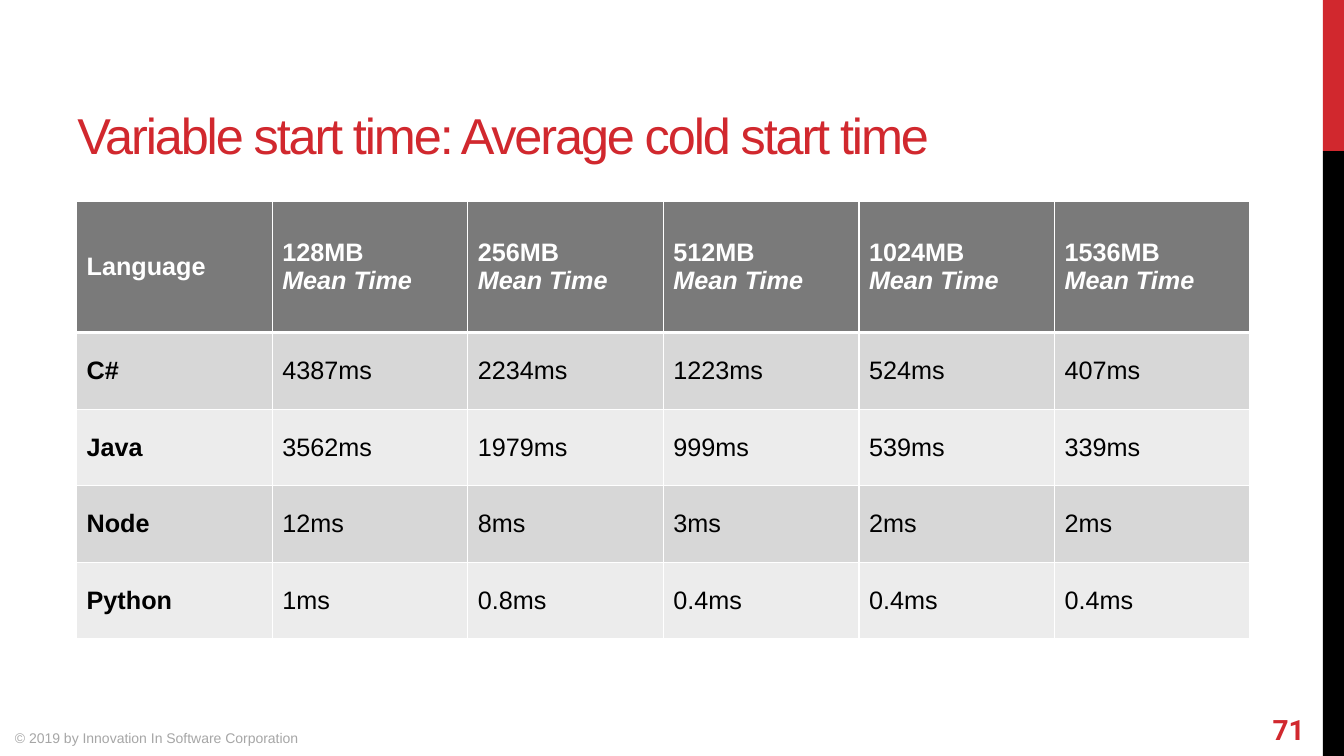
from dataclasses import dataclass

import lxml.etree
import pptx
import pptx.dml.color
import pptx.enum.shapes
import pptx.enum.text
import pptx.oxml.ns
import pptx.slide
import pptx.table
import pptx.text.text
import pptx.util

EMU_PER_PX = 9144
COLORS = {
    "accent": "D1282E",
    "black": "000000",
    "white": "FFFFFF",
    "footer": "A6A6A6",
    "header": "7A7A7A",
    "odd_row": "D7D7D7",
    "even_row": "ECECEC",
}
ALIGN = pptx.enum.text.PP_ALIGN
ANCHOR = pptx.enum.text.MSO_ANCHOR


@dataclass(frozen=True)
class Box:
    left: int
    top: int
    width: int
    height: int

    def emu(self) -> tuple[int, int, int, int]:
        return px(self.left), px(self.top), px(self.width), px(self.height)


@dataclass(frozen=True)
class Style:
    size: int
    color: str
    font: str = "Arial"
    bold: bool = False
    italic: bool = False
    spacing: int = 0


@dataclass(frozen=True)
class Bar:
    box: Box
    color: str


@dataclass(frozen=True)
class Label:
    box: Box
    text: str
    style: Style
    anchor: ANCHOR = ANCHOR.TOP
    align: ALIGN = ALIGN.LEFT


BARS = [
    Bar(Box(1312, 0, 21, 150), "accent"),
    Bar(Box(1312, 150, 21, 600), "black"),
]
LABELS = [
    Label(
        Box(67, 93, 1185, 75),
        "Variable start time: Average cold start time",
        Style(36, "accent", spacing=-150),
        ANCHOR.BOTTOM,
    ),
    Label(
        Box(1160, 697, 144, 53),
        "71",
        Style(20, "accent", "Roboto", bold=True),
        ANCHOR.MIDDLE,
        ALIGN.RIGHT,
    ),
    Label(
        Box(5, 719, 500, 31),
        "© 2019 by Innovation In Software Corporation",
        Style(10, "footer"),
    ),
]
TABLE_BOX = Box(76, 200, 1164, 434)
HEADER_HEIGHT = 130
ROW_HEIGHT = 76
MEMORY_SIZES = ["128MB", "256MB", "512MB", "1024MB", "1536MB"]
START_TIMES = {
    "C#": ["4387ms", "2234ms", "1223ms", "524ms", "407ms"],
    "Java": ["3562ms", "1979ms", "999ms", "539ms", "339ms"],
    "Node": ["12ms", "8ms", "3ms", "2ms", "2ms"],
    "Python": ["1ms", "0.8ms", "0.4ms", "0.4ms", "0.4ms"],
}
HEADER_STYLE = Style(18, "white", bold=True)
MEAN_STYLE = Style(18, "white", bold=True, italic=True)
LANGUAGE_STYLE = Style(18, "black", bold=True)
TIME_STYLE = Style(18, "black")


def px(length: int) -> int:
    return length * EMU_PER_PX


def rgb(color: str) -> pptx.dml.color.RGBColor:
    return pptx.dml.color.RGBColor.from_string(COLORS[color])


def add_run(paragraph: pptx.text.text._Paragraph, text: str, style: Style) -> None:
    run = paragraph.add_run()
    run.text = text
    run.font.name = style.font
    run.font.size = pptx.util.Pt(style.size)
    run.font.bold = style.bold
    run.font.italic = style.italic
    run.font.color.rgb = rgb(style.color)
    if style.spacing:
        run.font._element.set("spc", str(style.spacing))


def add_bar(slide: pptx.slide.Slide, bar: Bar) -> None:
    shape = slide.shapes.add_shape(
        pptx.enum.shapes.MSO_SHAPE.RECTANGLE, *bar.box.emu()
    )
    shape.shadow.inherit = False
    shape.fill.solid()
    shape.fill.fore_color.rgb = rgb(bar.color)
    shape.line.fill.background()


def add_label(slide: pptx.slide.Slide, label: Label) -> None:
    frame = slide.shapes.add_textbox(*label.box.emu()).text_frame
    frame.word_wrap = True
    frame.vertical_anchor = label.anchor
    paragraph = frame.paragraphs[0]
    paragraph.alignment = label.align
    add_run(paragraph, label.text, label.style)


def set_borders(cell: pptx.table._Cell, top: int, bottom: int) -> None:
    properties = cell._tc.get_or_add_tcPr()
    widths = {"a:lnL": 1, "a:lnR": 1, "a:lnT": top, "a:lnB": bottom}
    for position, (tag, width) in enumerate(widths.items()):
        line = lxml.etree.Element(
            pptx.oxml.ns.qn(tag), w=str(pptx.util.Pt(width))
        )
        fill = lxml.etree.SubElement(line, pptx.oxml.ns.qn("a:solidFill"))
        lxml.etree.SubElement(
            fill, pptx.oxml.ns.qn("a:srgbClr"), val=COLORS["white"]
        )
        properties.insert(position, line)


def fill_cell(
    cell: pptx.table._Cell,
    lines: list[tuple[str, Style]],
    color: str,
    top: int,
    bottom: int,
) -> None:
    cell.vertical_anchor = ANCHOR.MIDDLE
    cell.fill.solid()
    cell.fill.fore_color.rgb = rgb(color)
    set_borders(cell, top, bottom)
    frame = cell.text_frame
    for index, (text, style) in enumerate(lines):
        paragraph = frame.add_paragraph() if index else frame.paragraphs[0]
        add_run(paragraph, text, style)


def add_time_table(slide: pptx.slide.Slide) -> None:
    header = [[("Language", HEADER_STYLE)]] + [
        [(size, HEADER_STYLE), ("Mean Time", MEAN_STYLE)] for size in MEMORY_SIZES
    ]
    body = [
        [[(language, LANGUAGE_STYLE)]] + [[(time, TIME_STYLE)] for time in times]
        for language, times in START_TIMES.items()
    ]
    rows = [header, *body]
    table = slide.shapes.add_table(
        len(rows), len(header), *TABLE_BOX.emu()
    ).table
    for column in table.columns:
        column.width = px(TABLE_BOX.width // len(header))
    for row_index, row in enumerate(rows):
        table.rows[row_index].height = px(ROW_HEIGHT if row_index else HEADER_HEIGHT)
        stripe = "odd_row" if row_index % 2 else "even_row"
        color = stripe if row_index else "header"
        top = 3 if row_index == 1 else 1
        bottom = 1 if row_index else 3
        for column_index, lines in enumerate(row):
            cell = table.cell(row_index, column_index)
            fill_cell(cell, lines, color, top, bottom)


def main() -> None:
    presentation = pptx.Presentation()
    presentation.slide_width = px(1333)
    presentation.slide_height = px(750)
    slide = presentation.slides.add_slide(presentation.slide_layouts[6])
    for bar in BARS:
        add_bar(slide, bar)
    for label in LABELS:
        add_label(slide, label)
    add_time_table(slide)
    presentation.save("out.pptx")


if __name__ == "__main__":
    main()
